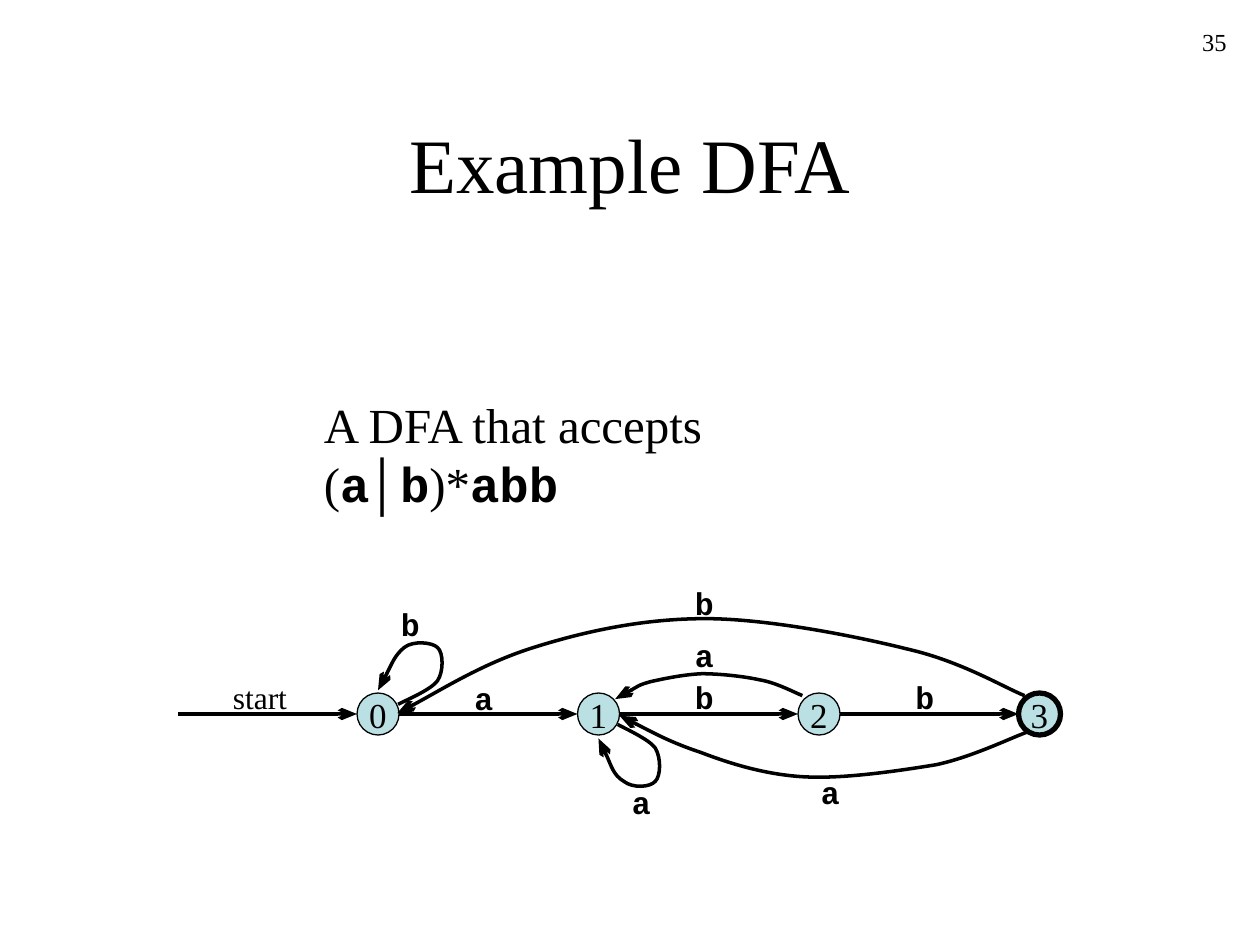
from dataclasses import dataclass

from lxml import etree
from pptx import Presentation
from pptx.dml.color import RGBColor
from pptx.enum.shapes import MSO_CONNECTOR, MSO_SHAPE
from pptx.enum.text import MSO_ANCHOR, PP_ALIGN
from pptx.oxml.ns import qn
from pptx.util import Pt

BLACK = RGBColor(0x00, 0x00, 0x00)
TEAL = RGBColor(0xBB, 0xE0, 0xE3)
SERIF, SANS, MONO = "Times New Roman", "Arial", "Courier New"
LEFT, CENTER, RIGHT = PP_ALIGN.LEFT, PP_ALIGN.CENTER, PP_ALIGN.RIGHT
MIDDLE = MSO_ANCHOR.MIDDLE
OVAL = MSO_SHAPE.OVAL
STRAIGHT = MSO_CONNECTOR.STRAIGHT

# The states stand on one axis at equal steps
AXIS, FIRST, STEP, SIZE = 408, 216, 126, 24
COUNT = 4
START = 102


@dataclass
class Label:
    text: str
    left: float
    top: float
    width: float = 25.5
    font: str = MONO
    bold: bool = True


@dataclass
class Curve:
    start: tuple[float, float]
    bends: list[tuple[float, float]]  # three points for each cubic segment


LABELS = [
    Label("start", 126, 384, 50, SERIF, False),
    Label("a", 264, 384.5),
    Label("b", 390, 384),
    Label("b", 516, 384),
    Label("b", 222, 342),
    Label("b", 390, 330),
    Label("a", 354, 444),
    Label("a", 390, 360),
    Label("a", 462, 438),
]

CURVES = [
    # 0 to 0
    Curve((227.5, 402.5), [
        (231, 400.5), (246, 394.5), (250, 389),
        (253.5, 384), (253.5, 373), (250, 370),
        (247, 367), (236, 366), (231, 370),
        (225.5, 374.5), (219, 389.5), (216, 394.5)]),
    # 3 to 0
    Curve((585.5, 397.5), [
        (574, 393), (549.5, 378), (519, 371),
        (489, 363.5), (438.5, 353.5), (403, 353.5),
        (368, 353.5), (335.5, 360.5), (306.5, 369.5),
        (277, 378.5), (243.5, 399.5), (227, 407.5)]),
    # 1 to 1
    Curve((353, 414), [
        (356.5, 416), (371, 422.5), (374.5, 427.5),
        (378, 433.5), (377.5, 443.5), (374.5, 446.5),
        (371.5, 450), (361.5, 450.5), (356.5, 446.5),
        (350.5, 443), (345, 427), (342, 422)]),
    # 2 to 1
    Curve((458.5, 397.5), [
        (454.5, 396), (443.5, 390), (434, 388.5),
        (425, 386.5), (411, 385), (401, 385),
        (391, 385.5), (381, 387.5), (372, 389.5),
        (364.5, 391.5), (355.5, 397.5), (351.5, 399.5)]),
    # 3 to 1
    Curve((588, 418), [
        (579, 421), (556, 432.5), (535, 437),
        (513.5, 440.5), (483, 445), (461, 444),
        (438.5, 443), (417.5, 436.5), (400.5, 430),
        (382.5, 424), (363.5, 413.5), (354, 409)]),
]


def style(run, size: float, font: str = SERIF, bold: bool = False) -> None:
    run.font.size = Pt(size)
    run.font.name = font
    run.font.bold = bold
    run.font.color.rgb = BLACK


def place(shape, left: float, top: float, width: float, height: float) -> None:
    shape.left, shape.top = Pt(left), Pt(top)
    shape.width, shape.height = Pt(width), Pt(height)


def write(shape, parts: list[tuple], size: float, align=LEFT,
          wrap: bool = False) -> None:
    """Fill a shape with one paragraph of (text, font, bold) parts."""
    shape.text_frame.word_wrap = wrap
    para = shape.text_frame.paragraphs[0]
    para.alignment = align
    for text, font, bold in parts:
        run = para.add_run()
        run.text = text
        style(run, size, font, bold)


def add_box(slide, left: float, top: float, width: float, height: float):
    return slide.shapes.add_textbox(Pt(left), Pt(top), Pt(width), Pt(height))


def add_state(slide, index: int) -> None:
    left = FIRST + index * STEP - SIZE / 2
    state = slide.shapes.add_shape(
        OVAL, Pt(left), Pt(AXIS - SIZE / 2), Pt(SIZE), Pt(SIZE))
    state.fill.solid()
    state.fill.fore_color.rgb = TEAL
    state.line.color.rgb = BLACK
    state.line.width = Pt(3 if index == COUNT - 1 else 0.75)
    state.shadow.inherit = False
    state.text_frame.vertical_anchor = MIDDLE
    write(state, [(str(index), SERIF, False)], 20, CENTER)


def add_head(shape) -> None:
    """Give a line its stroke and a long arrowhead at its end."""
    shape.line.color.rgb = BLACK
    shape.line.width = Pt(2)
    props = shape.element.spPr
    etree.SubElement(props.find(qn("a:ln")), qn("a:tailEnd"),
                     type="arrow", w="med", len="lg")
    etree.SubElement(props, qn("a:effectLst"))


def add_arrow(slide, left: float, right: float) -> None:
    add_head(slide.shapes.add_connector(
        STRAIGHT, Pt(left), Pt(AXIS), Pt(right), Pt(AXIS)))


def add_curve(slide, curve: Curve) -> None:
    pen = slide.shapes.build_freeform(*map(Pt, curve.start))
    pen.add_line_segments(
        [(Pt(x), Pt(y)) for x, y in curve.bends], close=False)
    shape = pen.convert_to_shape()
    shape.fill.background()
    add_head(shape)
    # Turn each three line segments into one cubic segment
    lines = list(shape.element.iter(qn("a:lnTo")))
    for i in range(0, len(lines), 3):
        cubic = etree.Element(qn("a:cubicBezTo"))
        lines[i].addprevious(cubic)
        for line in lines[i:i + 3]:
            cubic.append(line[0])
            line.getparent().remove(line)


def main() -> None:
    deck = Presentation()
    deck.slide_width, deck.slide_height = Pt(720), Pt(540)
    slide = deck.slides.add_slide(deck.slide_layouts[5])

    # Title and page number
    title = slide.shapes.title
    place(title, 54, 48, 612, 90)
    title.text_frame.vertical_anchor = MIDDLE
    write(title, [("Example DFA", SERIF, False)], 44, CENTER, True)
    page = add_box(slide, 558, 12, 150, 36)
    write(page, [("35", SERIF, False)], 14, RIGHT, True)

    # Accepted language
    note = add_box(slide, 178, 222, 366, 41)
    write(note, [("A DFA that accepts (", SERIF, False), ("a", MONO, True),
                 ("│", SANS, False), ("b", MONO, True),
                 (")*", SERIF, False), ("abb", MONO, True)], 28, wrap=True)

    # States and the moves between neighbours
    for i in range(COUNT):
        add_state(slide, i)
        left = FIRST + (i - 1) * STEP + SIZE / 2 if i else START
        add_arrow(slide, left, FIRST + i * STEP - SIZE / 2)

    # Loops and moves back
    for curve in CURVES:
        add_curve(slide, curve)

    # Names of the moves
    for label in LABELS:
        box = add_box(slide, label.left, label.top, label.width, 29)
        write(box, [(label.text, label.font, label.bold)], 18)

    deck.save("out.pptx")


if __name__ == "__main__":
    main()
